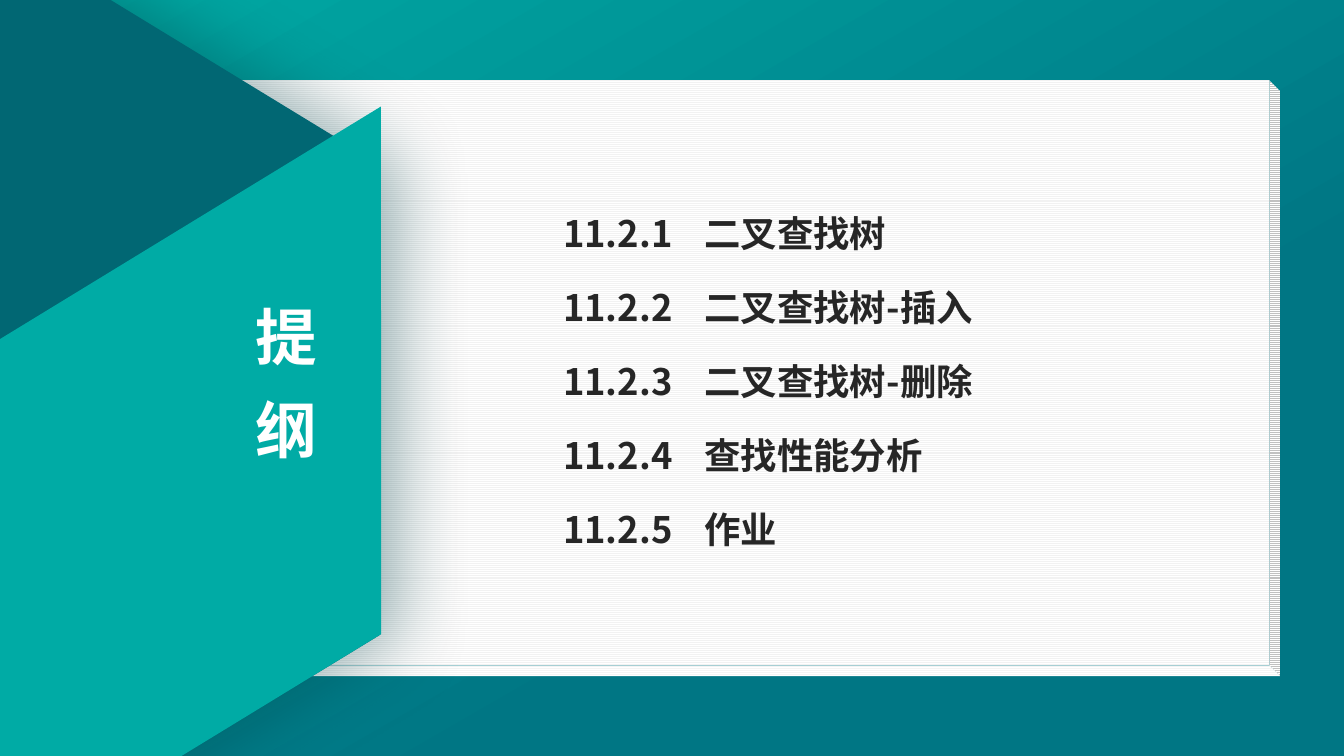
from dataclasses import dataclass
from typing import Optional

from lxml.etree import SubElement
from pptx import Presentation
from pptx.dml.color import RGBColor
from pptx.dml.fill import FillFormat
from pptx.enum.dml import MSO_PATTERN
from pptx.enum.shapes import MSO_SHAPE as SHAPE
from pptx.enum.text import MSO_AUTO_SIZE as AUTO_SIZE, PP_ALIGN as ALIGN
from pptx.oxml.ns import qn
from pptx.util import Cm, Pt

TEAL = RGBColor(0x00, 0xAB, 0xA5)
DEEP_TEAL = RGBColor(0x00, 0x76, 0x84)
DARK_TEAL = RGBColor(0x01, 0x67, 0x73)
SHADOW_TEAL = RGBColor(0x01, 0x3F, 0x45)
PAPER_LINE = RGBColor(0xF2, 0xF2, 0xF2)
INK = RGBColor(0x26, 0x26, 0x26)
WHITE = RGBColor(0xFF, 0xFF, 0xFF)
BLACK = RGBColor(0x00, 0x00, 0x00)
FONT = "Noto Sans CJK SC"
TOPICS = ["二叉查找树", "二叉查找树-插入", "二叉查找树-删除", "查找性能分析", "作业"]


@dataclass
class Gradient:
    stops: list[tuple[float, RGBColor]]
    clockwise: float


@dataclass
class Pattern:
    fore: RGBColor
    back: RGBColor


@dataclass
class Shadow:
    color: RGBColor
    alpha: int
    blur: float
    dist: float
    angle: int


@dataclass
class Panel:
    kind: SHAPE
    box: tuple[float, float, float, float]
    adjust: float
    fill: Gradient | Pattern | RGBColor
    rotation: float = 0
    flip_v: bool = False
    shadow: Optional[Shadow] = None


@dataclass
class TextBlock:
    box: tuple[float, float, float, float]
    lines: list[str]
    paragraph: dict
    font: dict
    color: RGBColor
    tab: float = 0
    shadow: Optional[Shadow] = None


def apply_fill(fill: FillFormat, style: Gradient | Pattern | RGBColor) -> None:
    if isinstance(style, Gradient):
        fill.gradient()
        fill.gradient_angle = 360 - style.clockwise
        for stop, (position, color) in zip(fill.gradient_stops, style.stops):
            stop.position = position
            stop.color.rgb = color
    elif isinstance(style, Pattern):
        fill.patterned()
        fill.pattern = MSO_PATTERN.LIGHT_HORIZONTAL
        fill.fore_color.rgb = style.fore
        fill.back_color.rgb = style.back
    else:
        fill.solid()
        fill.fore_color.rgb = style


def add_shadow(effects, shadow: Shadow) -> None:
    outer = SubElement(effects, qn("a:outerShdw"), {
        "blurRad": str(Pt(shadow.blur)), "dist": str(Pt(shadow.dist)),
        "dir": str(shadow.angle * 60000), "algn": "ctr", "rotWithShape": "0"})
    color = SubElement(outer, qn("a:srgbClr"), val=str(shadow.color))
    SubElement(color, qn("a:alpha"), val=str(shadow.alpha * 1000))


def draw_panel(s, panel: Panel) -> None:
    sp = s.shapes.add_shape(panel.kind, *map(Cm, panel.box))
    sp.adjustments[0] = panel.adjust
    sp.rotation = panel.rotation
    if panel.flip_v:
        sp.element.spPr.get_or_add_xfrm().set("flipV", "1")
    apply_fill(sp.fill, panel.fill)
    sp.line.fill.background()
    sp.shadow.inherit = False
    if panel.shadow:
        add_shadow(sp.element.spPr.find(qn("a:effectLst")), panel.shadow)


def draw_text(s, block: TextBlock) -> None:
    tf = s.shapes.add_textbox(*map(Cm, block.box)).text_frame
    frame = {"word_wrap": True, "auto_size": AUTO_SIZE.SHAPE_TO_FIT_TEXT,
             "margin_top": 0, "margin_bottom": Cm(0.13)}
    for name, value in frame.items():
        setattr(tf, name, value)
    for i, line in enumerate(block.lines):
        p = tf.add_paragraph() if i else tf.paragraphs[0]
        for name, value in block.paragraph.items():
            setattr(p, name, value)
        if block.tab:
            tabs = SubElement(p._p.get_or_add_pPr(), qn("a:tabLst"))
            SubElement(tabs, qn("a:tab"), pos=str(Cm(block.tab)), algn="l")
        r = p.add_run()
        r.text = line
        r.font.color.rgb = block.color
        props = r._r.get_or_add_rPr()
        if block.shadow:
            add_shadow(SubElement(props, qn("a:effectLst")), block.shadow)
        for name, value in block.font.items():
            setattr(r.font, name, value)
        SubElement(props, qn("a:ea"), typeface=FONT)


PANELS = [
    # Ruled paper block
    Panel(SHAPE.CUBE, (0, 2.03, 32.26, 15.01), 0.018,
          Pattern(PAPER_LINE, WHITE), flip_v=True),
    # Dark hexagon on the left, and the bright band across it
    Panel(SHAPE.HEXAGON, (-15.77, -2.01, 26.57, 24.16), 0.305,
          Gradient([(0.77, DARK_TEAL), (1, DEEP_TEAL)], 90), rotation=90,
          shadow=Shadow(SHADOW_TEAL, 40, 55, 13, 0)),
    Panel(SHAPE.PARALLELOGRAM, (-6.96, 7.34, 21.06, 11.35), 0.61,
          TEAL, rotation=328.6),
]

TEXTS = [
    # Vertical heading
    TextBlock((6.2, 7.02, 2, 4.73), ["提", "纲"],
              {"alignment": ALIGN.CENTER, "line_spacing": Pt(67)},
              {"name": FONT, "size": Pt(44), "bold": True}, WHITE,
              shadow=Shadow(BLACK, 43, 3, 3, 45)),
    # Numbered topics
    TextBlock((13.94, 4.78, 13.49, 9.12),
              [f"11.2.{n}\t{topic}" for n, topic in enumerate(TOPICS, 1)],
              {"line_spacing": 1.5, "space_before": Pt(6)},
              {"name": FONT, "size": Pt(26), "bold": True}, INK, tab=3.56),
]


def main() -> None:
    prs = Presentation()
    prs.slide_width, prs.slide_height = Cm(33.87), Cm(19.05)
    s = prs.slides.add_slide(prs.slide_layouts[6])
    apply_fill(s.background.fill,
               Gradient([(0, TEAL), (0.67, DEEP_TEAL)], 60))
    for panel in PANELS:
        draw_panel(s, panel)
    for block in TEXTS:
        draw_text(s, block)
    prs.save("out.pptx")


if __name__ == "__main__":
    main()
